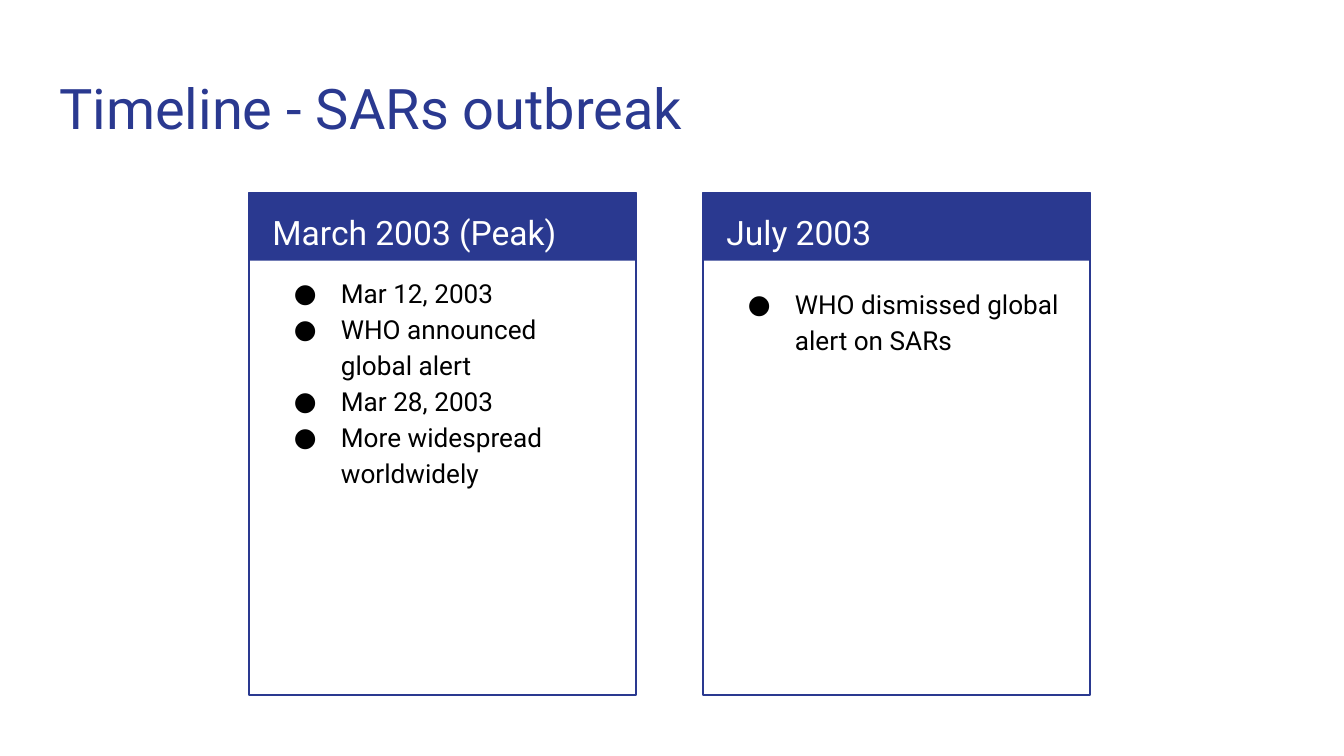
from lxml import etree
from pptx import Presentation
from pptx.dml.color import RGBColor
from pptx.enum.shapes import MSO_SHAPE
from pptx.enum.text import MSO_ANCHOR, MSO_AUTO_SIZE, PP_ALIGN
from pptx.oxml.ns import qn
from pptx.util import Pt

RECTANGLE = MSO_SHAPE.RECTANGLE
TOP = MSO_ANCHOR.TOP
NO_AUTOFIT = MSO_AUTO_SIZE.NONE
LEFT = PP_ALIGN.LEFT

COMPARISON_LAYOUT = 4
NAVY, WHITE, BLACK = "2A3990", "FFFFFF", "000000"
FONT = "Roboto"
HEADER_HEIGHT = 36.7

# Heading, list items, panel left, gap between header and list
PERIODS = [
    ("March 2003 (Peak)",
     ["Mar 12, 2003", "WHO announced global alert", "Mar 28, 2003",
      "More widespread worldwidely"], 133.4, 0),
    ("July 2003", ["WHO dismissed global alert on SARs"], 376.6, 6),
]


def color(hex_string):
    return RGBColor.from_string(hex_string)


def add_bullet(paragraph):
    properties = paragraph._p.get_or_add_pPr()
    properties.set("marL", str(Pt(36)))
    properties.set("indent", str(Pt(-25.2)))
    bullet_color = etree.SubElement(properties, qn("a:buClr"))
    etree.SubElement(bullet_color, qn("a:srgbClr"), val=BLACK)
    etree.SubElement(properties, qn("a:buFont"), typeface=FONT)
    etree.SubElement(properties, qn("a:buChar"), char="●")


def fill_placeholder(placeholder, box, lines, size, text_color,
                     spacing=1.15, bulleted=False):
    placeholder.left, placeholder.top, placeholder.width, placeholder.height = map(Pt, box)
    frame = placeholder.text_frame
    frame.text = "\n".join(lines)
    frame.word_wrap = True
    frame.auto_size = NO_AUTOFIT
    frame.vertical_anchor = TOP
    frame.margin_left = frame.margin_right = Pt(7.2)
    frame.margin_top = frame.margin_bottom = Pt(7.2)
    for paragraph in frame.paragraphs:
        if bulleted:
            add_bullet(paragraph)
        paragraph.alignment = LEFT
        paragraph.line_spacing = spacing
        paragraph.space_before = Pt(0)
        font = paragraph.font
        font.name, font.size, font.bold = FONT, Pt(size), False
        font.color.rgb = color(text_color)


def add_rectangle(group, left, top, width, height):
    rectangle = group.shapes.add_shape(RECTANGLE, Pt(left), Pt(top), Pt(width), Pt(height))
    rectangle.shadow.inherit = False
    return rectangle


def add_period(slide, box, heading, items, list_gap, heading_holder, list_holder):
    left, top, width, height = box

    # Header band and outline
    panel = slide.shapes.add_group_shape()
    band = add_rectangle(panel, left, top, width, HEADER_HEIGHT)
    band.fill.solid()
    band.fill.fore_color.rgb = color(NAVY)
    band.line.fill.background()
    outline = add_rectangle(panel, left, top, width, height)
    outline.fill.background()
    outline.line.color.rgb = color(NAVY)
    outline.line.width = Pt(0.75)

    # Heading and list, brought in front of the panel
    fill_placeholder(heading_holder, (left + 5.3, top, width - 10.8, 36),
                     [heading], 18, WHITE)
    fill_placeholder(list_holder, (left + 6, top + 36 + list_gap, width - 12, 220.3),
                     items, 14, BLACK, bulleted=True)
    for holder in (heading_holder, list_holder):
        slide.shapes.element.append(holder.element)


def main():
    presentation = Presentation()
    presentation.slide_width, presentation.slide_height = Pt(720), Pt(405)
    slide = presentation.slides.add_slide(presentation.slide_layouts[COMPARISON_LAYOUT])
    title, *holders = slide.placeholders

    # Title
    fill_placeholder(title, (24.5, 32.4, 671, 47.5), ["Timeline - SARs outbreak"],
                     30, NAVY, spacing=1.0)

    # Periods
    for (heading, items, left, list_gap), heading_holder, list_holder in zip(
            PERIODS, holders[::2], holders[1::2]):
        add_period(slide, (left, 103, 207.4, 269.3), heading, items, list_gap,
                   heading_holder, list_holder)

    presentation.save("out.pptx")


if __name__ == "__main__":
    main()
